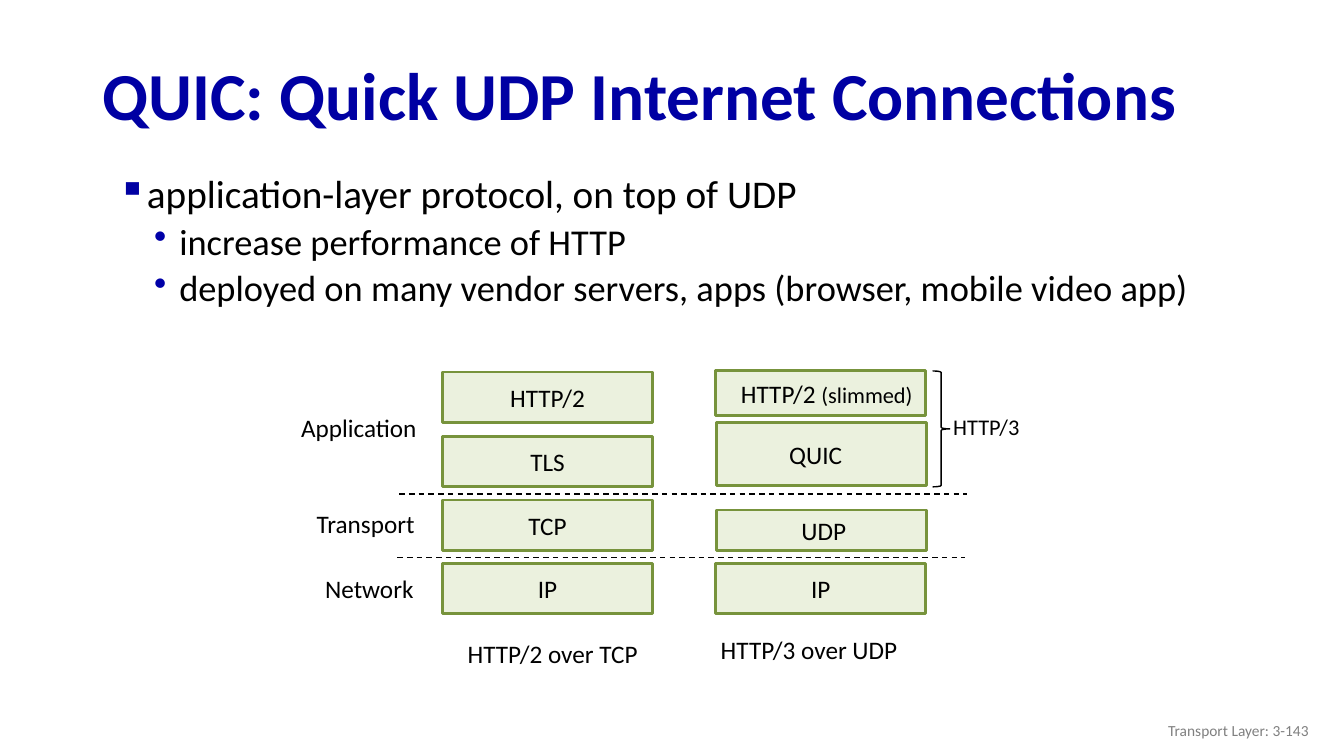
from dataclasses import dataclass
from typing import Optional

from lxml.etree import SubElement
from pptx import Presentation
from pptx.dml.color import RGBColor
from pptx.enum.dml import MSO_LINE
from pptx.enum.shapes import MSO_CONNECTOR, MSO_SHAPE
from pptx.enum.text import MSO_ANCHOR, PP_ALIGN
from pptx.oxml.ns import qn
from pptx.util import Emu, Pt

PX = 9144
FONT = "Calibri"
COLORS = {
    "title": "0000A3",
    "bullet": "0000A8",
    "text": "000000",
    "fill": "EBF1DE",
    "border": "77933C",
    "footer": "808080",
}
LAYER_W = 208


@dataclass
class Layer:
    x: int
    y: int
    h: int
    text: str
    nudge: int = 0
    note: str = ""


@dataclass
class Label:
    x: int
    y: int
    w: int
    h: int
    text: str
    size: int = 18
    color: str = "text"
    align: PP_ALIGN = PP_ALIGN.LEFT
    anchor: MSO_ANCHOR = MSO_ANCHOR.TOP
    wrap: bool = True
    bold: bool = False
    spacing: Optional[float] = None


@dataclass
class Bullet:
    text: str
    level: int
    size: int
    char: str
    color: str
    margin: int
    hanging: int
    before: int


TCP_STACK = [
    Layer(439, y, 50, text)
    for y, text in ((369, "HTTP/2"), (433, "TLS"), (496, "TCP"), (559, "IP"))
]
UDP_STACK = [
    Layer(710, 368, 44, "HTTP/2 ", 6, "(slimmed)"),
    Layer(711, 419, 63, "QUIC", -6),
    Layer(711, 506, 40, "UDP", 2),
    Layer(710, 559, 50, "IP"),
]
LABELS = [
    Label(92, 49, 1150, 98, "QUIC: Quick UDP Internet Connections", 48, "title",
          anchor=MSO_ANCHOR.MIDDLE, bold=True, spacing=0.9),
    Label(272, 404, 151, 40, "Application", align=PP_ALIGN.RIGHT),
    Label(287, 499, 134, 40, "Transport", align=PP_ALIGN.RIGHT),
    Label(286, 564, 134, 40, "Network", align=PP_ALIGN.RIGHT),
    Label(454, 628, 193, 40, "HTTP/2 over TCP", wrap=False),
    Label(705, 624, 198, 40, "HTTP/3 over UDP", wrap=False),
    Label(923, 405, 98, 37, "HTTP/3", 16, align=PP_ALIGN.RIGHT),
    Label(1008, 705, 300, 40, "Transport Layer: 3-143", 11, "footer",
          PP_ALIGN.RIGHT, MSO_ANCHOR.MIDDLE),
]
BULLETS = [
    Bullet("application-layer protocol, on top of UDP", 0, 28, "▪", "title", 39, 24, 0),
    Bullet("increase performance of HTTP", 1, 26, "•", "bullet", 76, 25, 5),
    Bullet("deployed on many vendor servers, apps (browser, mobile video app)",
           1, 26, "•", "bullet", 76, 25, 5),
]


def px(n: int) -> Emu:
    return Emu(n * PX)


def rgb(name: str) -> RGBColor:
    return RGBColor.from_string(COLORS[name])


def style(r, size: int, color: str = "text", bold: bool = False) -> None:
    r.font.name = FONT
    r.font.size = Pt(size)
    r.font.bold = bold
    r.font.color.rgb = rgb(color)


def add_label(s, label: Label) -> None:
    tf = s.shapes.add_textbox(px(label.x), px(label.y), px(label.w), px(label.h)).text_frame
    tf.word_wrap = label.wrap
    tf.vertical_anchor = label.anchor
    tf.text = label.text
    p = tf.paragraphs[0]
    p.alignment = label.align
    p.line_spacing = label.spacing
    style(p.runs[0], label.size, label.color, label.bold)


def add_bullets(s, bullets: list[Bullet]) -> None:
    tf = s.shapes.add_textbox(px(92), px(168), px(1150), px(155)).text_frame
    tf.word_wrap = True
    tf.text = "\n".join(b.text for b in bullets)
    for p, b in zip(tf.paragraphs, bullets):
        p.level = b.level
        pPr = p._p.get_or_add_pPr()
        pPr.set("marL", str(px(b.margin)))
        pPr.set("indent", str(-px(b.hanging)))
        clr = SubElement(pPr, qn("a:buClr"))
        SubElement(clr, qn("a:srgbClr")).set("val", COLORS[b.color])
        SubElement(pPr, qn("a:buChar")).set("char", b.char)
        p.line_spacing = 0.9
        p.space_before = Pt(b.before)
        style(p.runs[0], b.size)


def add_layer(s, layer: Layer) -> None:
    sp = s.shapes.add_shape(MSO_SHAPE.RECTANGLE, px(layer.x), px(layer.y),
                            px(LAYER_W), px(layer.h))
    sp.shadow.inherit = False
    sp.fill.solid()
    sp.fill.fore_color.rgb = rgb("fill")
    sp.line.color.rgb = rgb("border")
    sp.line.width = Pt(2)
    tf = sp.text_frame
    tf.margin_left, tf.margin_right = px(10 + layer.nudge), px(10 - layer.nudge)
    tf.margin_top = tf.margin_bottom = 0
    tf.vertical_anchor = MSO_ANCHOR.MIDDLE
    tf.text = layer.text
    p = tf.paragraphs[0]
    p.alignment = PP_ALIGN.CENTER
    style(p.runs[0], 18)
    if layer.note:
        r = p.add_run()
        r.text = layer.note
        style(r, 16)


def add_divider(s, x: int, y: int) -> None:
    line = s.shapes.add_connector(MSO_CONNECTOR.STRAIGHT, px(x), px(y), px(x + 563), px(y))
    line.line.color.rgb = rgb("text")
    line.line.width = Pt(1)
    line.line.dash_style = MSO_LINE.DASH
    SubElement(line._element.spPr, qn("a:effectLst"))


def add_brace(s) -> None:
    sp = s.shapes.add_shape(MSO_SHAPE.RIGHT_BRACE, px(925), px(368), px(17), px(115))
    sp.shadow.inherit = False
    sp.fill.background()
    sp.line.color.rgb = rgb("text")
    sp.line.width = Pt(1)


def main() -> None:
    prs = Presentation()
    prs.slide_width, prs.slide_height = px(1333), px(750)
    s = prs.slides.add_slide(prs.slide_layouts[6])
    add_bullets(s, BULLETS)
    for layer in TCP_STACK + UDP_STACK:
        add_layer(s, layer)
    for x, y in ((396, 490), (394, 553)):
        add_divider(s, x, y)
    add_brace(s)
    for label in LABELS:
        add_label(s, label)
    prs.save("out.pptx")


if __name__ == "__main__":
    main()
